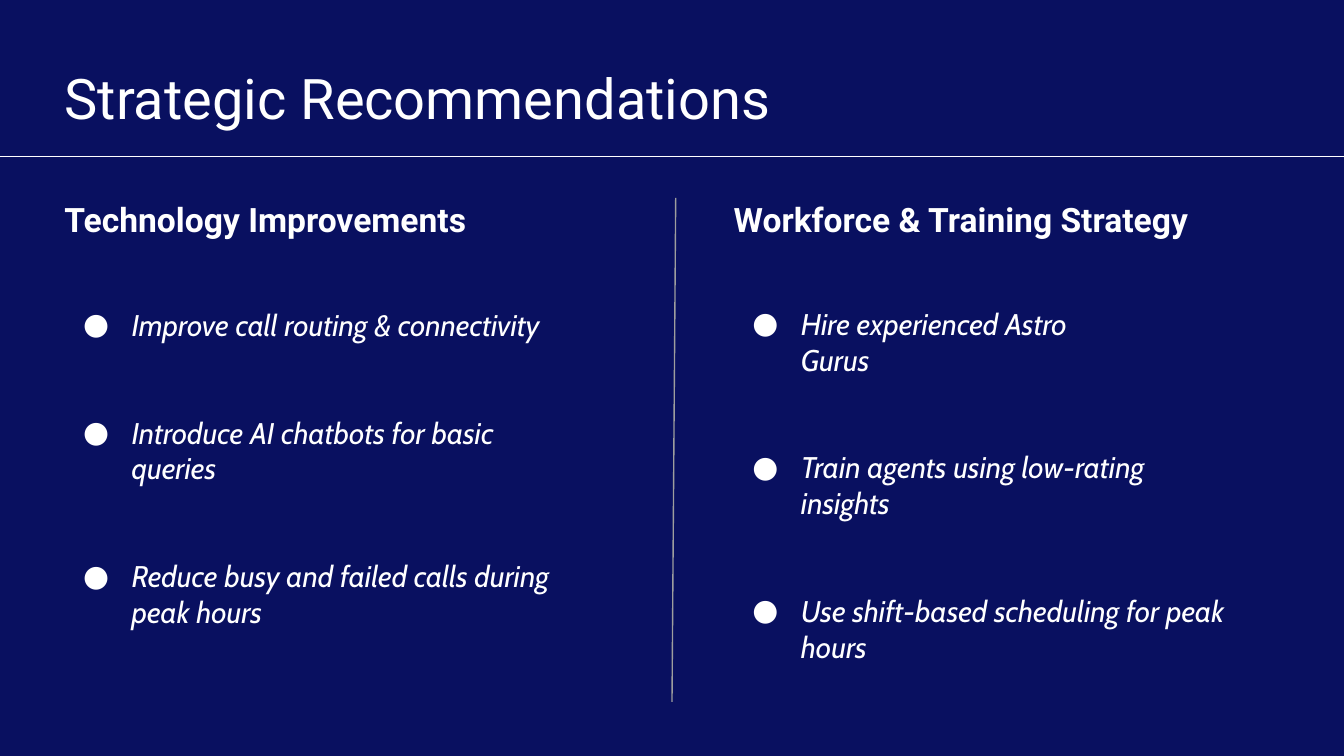
from pptx import Presentation
from pptx.dml.color import RGBColor
from pptx.enum.shapes import MSO_CONNECTOR
from pptx.enum.text import MSO_ANCHOR, PP_ALIGN
from pptx.oxml.ns import qn
from pptx.util import Pt
from lxml import etree

STRAIGHT = MSO_CONNECTOR.STRAIGHT
TOP = MSO_ANCHOR.TOP
LEFT = PP_ALIGN.LEFT

WHITE = "FFFFFF"
TITLE = {"name": "Roboto", "size": Pt(30), "bold": False}
HEADING = {"name": "Roboto", "size": Pt(18), "bold": True}
BULLET = {"name": "Cabin", "size": Pt(16), "italic": True}
FRAME = {"word_wrap": True, "vertical_anchor": TOP, "margin_left": Pt(7.2),
         "margin_right": Pt(7.2), "margin_top": Pt(7.2), "margin_bottom": Pt(7.2)}
BULLET_GAP = 38.5

# heading left, heading width, list top, heading, bullets (\v breaks a line)
COLUMNS = [
    (27.4, 281.5, 157, "Technology Improvements", [
        "Improve call routing & connectivity",
        "Introduce AI chatbots for basic queries",
        "Reduce busy and failed calls during peak hours"]),
    (386, 311.8, 156.4, "Workforce & Training Strategy", [
        "Hire experienced Astro\vGurus",
        "Train agents using low-rating insights",
        "Use shift-based scheduling for peak hours"]),
]
# x1, y1, x2, y2, colour
RULES = [(0, 84, 720, 84, WHITE), (362, 106, 360, 376, "9E9E9E")]


def color(hex_text):
    return RGBColor.from_string(hex_text)


def write(box, lines, font_format):
    """Fill a box with white, left-aligned paragraphs and return them."""
    frame = box.text_frame
    for name, value in FRAME.items():
        setattr(frame, name, value)
    frame.text = "\n".join(lines)
    for para in frame.paragraphs:
        para.alignment = LEFT
        para.line_spacing = 1.0
        para.space_before = Pt(0)
        for span in para.runs:
            for name, value in font_format.items():
                setattr(span.font, name, value)
            span.font.color.rgb = color(WHITE)
    return frame.paragraphs


deck = Presentation()
deck.slide_width, deck.slide_height = Pt(720), Pt(405)
page = deck.slides.add_slide(deck.slide_layouts[5])
page.background.fill.solid()
page.background.fill.fore_color.rgb = color("091060")

title = page.shapes.title
title.left, title.top, title.width, title.height = Pt(27.4), Pt(26.6), Pt(458.6), Pt(51)
write(title, ["Strategic Recommendations"], TITLE)

for left, heading_width, list_top, heading, bullets in COLUMNS:
    heading_box = page.shapes.add_textbox(Pt(left), Pt(99.4), Pt(heading_width), Pt(36))
    write(heading_box, [heading], HEADING)

    list_box = page.shapes.add_textbox(Pt(left), Pt(list_top), Pt(281.5), Pt(209))
    for index, para in enumerate(write(list_box, bullets, BULLET)):
        para.space_before = Pt(BULLET_GAP if index else 0)
        properties = para._p.get_or_add_pPr()
        properties.set("marL", str(Pt(36)))
        properties.set("indent", str(Pt(-26)))
        bullet_color = etree.SubElement(properties, qn("a:buClr"))
        etree.SubElement(bullet_color, qn("a:srgbClr"), val=WHITE)
        etree.SubElement(properties, qn("a:buFont"), typeface="Cabin")
        etree.SubElement(properties, qn("a:buChar"), char="●")

for x1, y1, x2, y2, rule_color in RULES:
    rule = page.shapes.add_connector(STRAIGHT, Pt(x1), Pt(y1), Pt(x2), Pt(y2))
    rule.line.color.rgb = color(rule_color)
    rule.line.width = Pt(0.75)
    etree.SubElement(rule._element.spPr, qn("a:effectLst"))

deck.save("out.pptx")
